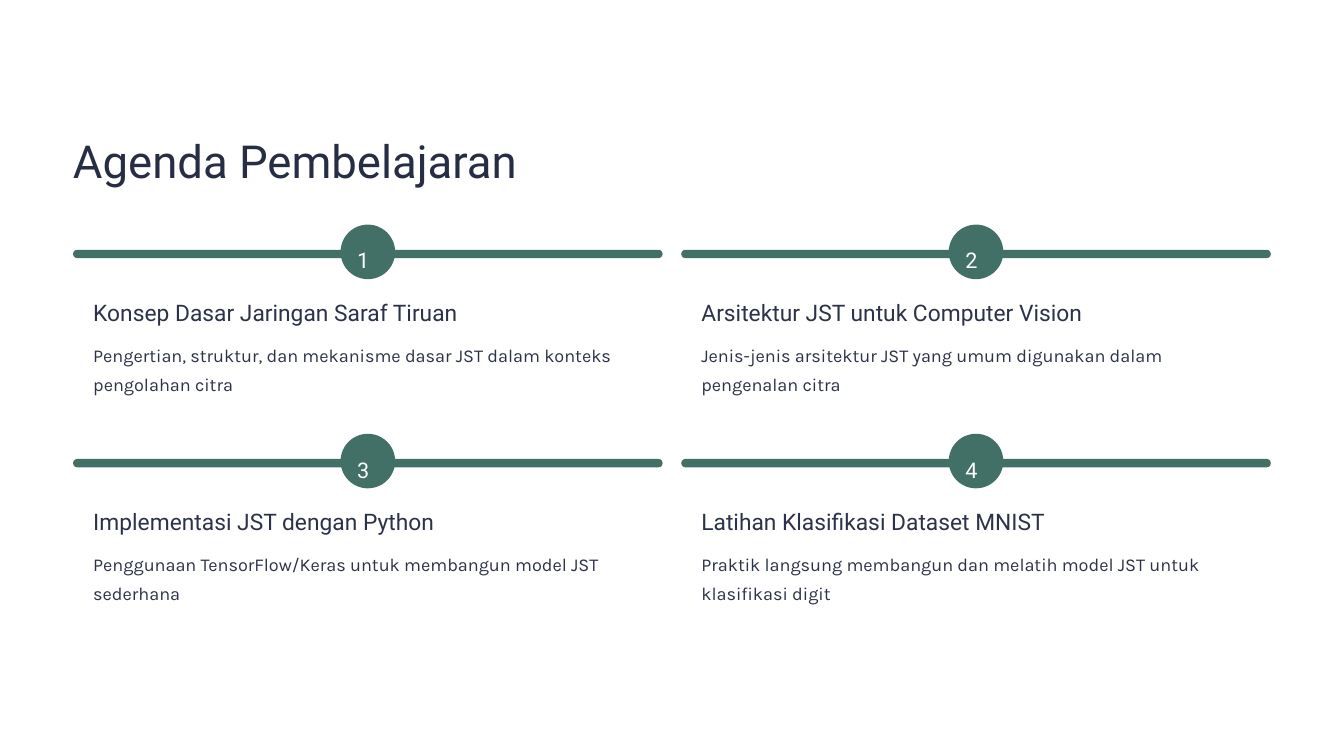
"""Builds the learning agenda slide with four numbered topics."""
from pptx import Presentation
from pptx.dml.color import RGBColor
from pptx.enum import shapes
from pptx.util import Pt

TITLE = "Agenda Pembelajaran"
TOPICS = [
    ("Konsep Dasar Jaringan Saraf Tiruan",
     "Pengertian, struktur, dan mekanisme dasar JST dalam konteks pengolahan citra"),
    ("Arsitektur JST untuk Computer Vision",
     "Jenis-jenis arsitektur JST yang umum digunakan dalam pengenalan citra"),
    ("Implementasi JST dengan Python",
     "Penggunaan TensorFlow/Keras untuk membangun model JST sederhana"),
    ("Latihan Klasifikasi Dataset MNIST",
     "Praktik langsung membangun dan melatih model JST untuk klasifikasi digit"),
]
COLORS = {"title": "272D45", "body": "2C3249", "green": "437066", "white": "FFFFFF"}
LEFT, TOP = 62.6, 216.3
COLUMN_STEP, ROW_STEP = 521.3, 179.3
CARD_WIDTH, CARD_HEIGHT = 505.4, 140.4
BADGE = 46.8
INSET = 17.3
TEXT_WIDTH = CARD_WIDTH - 2 * INSET


def add_block(slide, left, top, width, height, color, rounding):
    block = slide.shapes.add_shape(shapes.MSO_SHAPE.ROUNDED_RECTANGLE,
                                   Pt(left), Pt(top), Pt(width), Pt(height))
    block.adjustments[0] = rounding
    block.shadow.inherit = False
    block.fill.solid()
    block.fill.fore_color.rgb = RGBColor.from_string(COLORS[color])
    block.line.fill.background()


def add_label(slide, wording, left, top, width, height, size, spacing, color,
              font="Roboto"):
    frame = slide.shapes.add_textbox(Pt(left), Pt(top), Pt(width), Pt(height)).text_frame
    frame.margin_left = frame.margin_top = frame.margin_right = frame.margin_bottom = 0
    frame.word_wrap = True
    paragraph = frame.paragraphs[0]
    paragraph.text = wording
    paragraph.line_spacing = Pt(spacing)
    paragraph.font.size = Pt(size)
    paragraph.font.name = font
    paragraph.font.color.rgb = RGBColor.from_string(COLORS[color])


def add_topic(slide, index, heading, detail):
    row, column = divmod(index, 2)
    left = LEFT + column * COLUMN_STEP
    top = TOP + row * ROW_STEP
    badge_left = left + (CARD_WIDTH - BADGE) / 2
    add_block(slide, left, top, CARD_WIDTH, CARD_HEIGHT, "white", 0.06)
    add_block(slide, left, top - 2.2, CARD_WIDTH, 7.2, "green", 0.5)
    add_block(slide, badge_left, top - 23.8, BADGE, BADGE, "green", 0.5)
    add_label(slide, str(index + 1), badge_left + 14.2, top - 12, 18.7, 23.8,
              18.5, 30, "white")
    add_label(slide, heading, left + INSET, top + 38.8, TEXT_WIDTH, 24.5,
              19.5, 24, "body")
    add_label(slide, detail, left + INSET, top + 72.5, TEXT_WIDTH, 49.7,
              15.5, 25, "body", "Karla")


def main():
    deck = Presentation()
    deck.slide_width, deck.slide_height = Pt(1152), Pt(648)
    slide = deck.slides.add_slide(deck.slide_layouts[6])
    slide.background.fill.solid()
    slide.background.fill.fore_color.rgb = RGBColor.from_string(COLORS["white"])
    add_label(slide, TITLE, LEFT, 112.3, 391, 49, 39, 48.5, "title")
    for index, topic in enumerate(TOPICS):
        add_topic(slide, index, *topic)
    deck.save("out.pptx")


if __name__ == "__main__":
    main()
